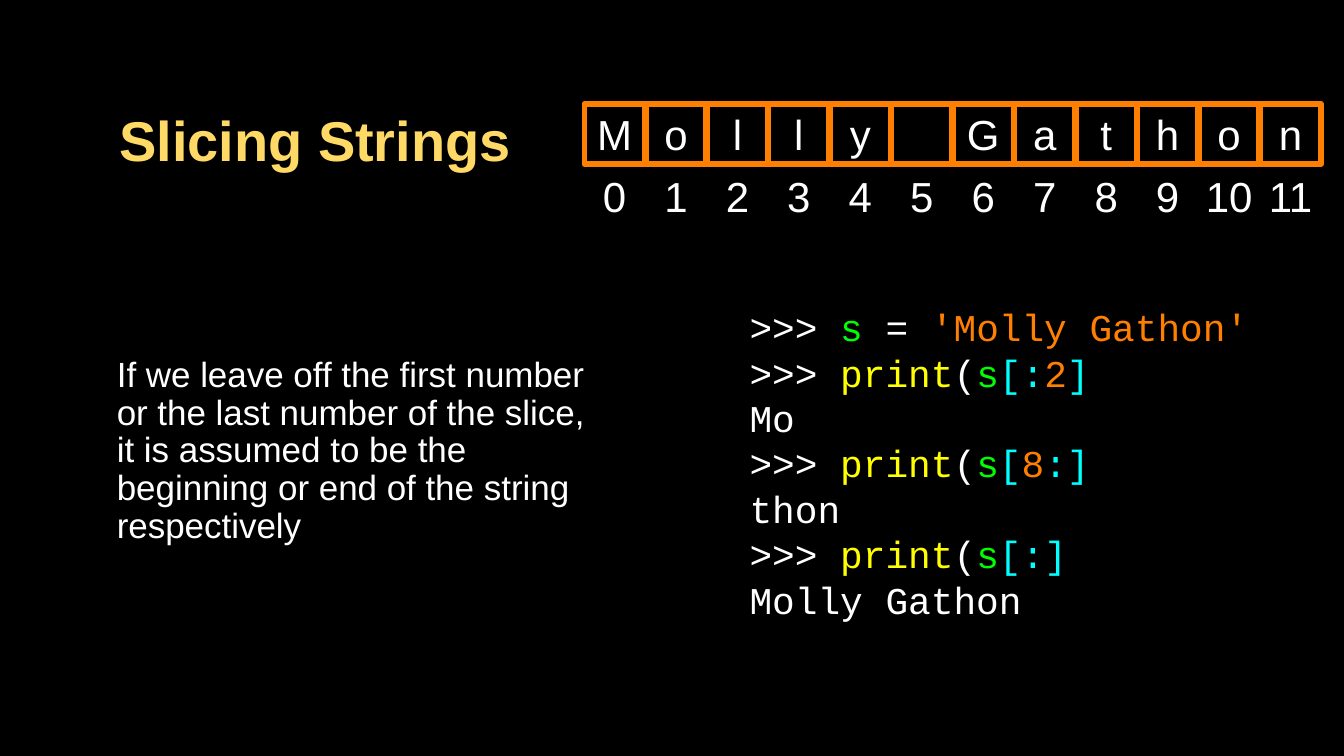
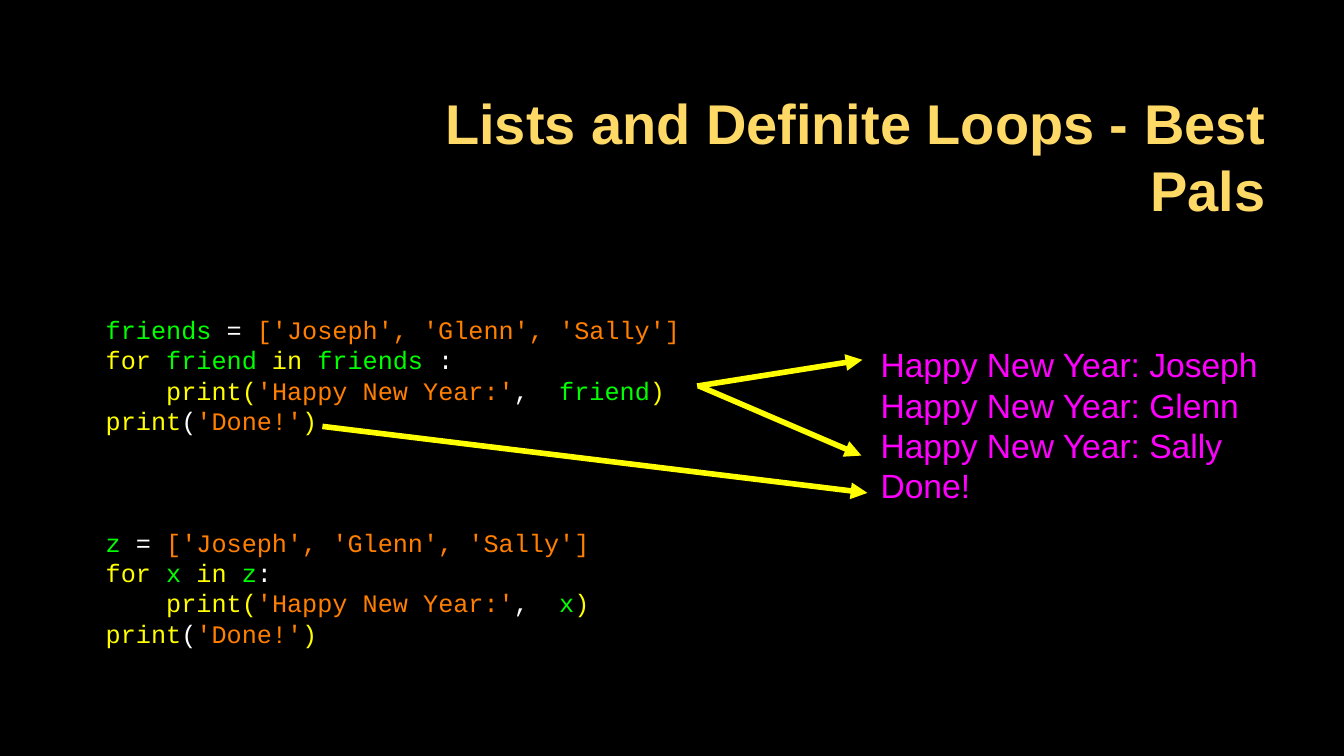
from pptx import Presentation
from pptx.dml.color import RGBColor
from pptx.enum import shapes, text
from pptx.oxml import ns, xmlchemy
from pptx.util import Inches, Pt

BLACK = RGBColor(0x00, 0x00, 0x00)
WHITE = RGBColor(0xFF, 0xFF, 0xFF)
GOLD = RGBColor(0xFF, 0xD9, 0x66)
ORANGE = RGBColor(0xFF, 0x7F, 0x00)
YELLOW = RGBColor(0xFF, 0xFF, 0x00)
GREEN = RGBColor(0x00, 0xFF, 0x00)
CYAN = RGBColor(0x00, 0xFF, 0xFF)
MAGENTA = RGBColor(0xFF, 0x00, 0xFF)

BODY_FONT = "Arial"
CODE_FONT = "Courier New"
LINE_WIDTH = Pt(4)
LEFT = text.PP_ALIGN.LEFT
CENTER = text.PP_ALIGN.CENTER
RIGHT = text.PP_ALIGN.RIGHT

CELL_SIZE = 0.6
CELL_PITCH = 0.61


def set_frame(shape, margins=(0, 0, 0, 0)):
    frame = shape.text_frame
    frame.word_wrap = True
    frame.vertical_anchor = text.MSO_ANCHOR.MIDDLE
    (frame.margin_left, frame.margin_top,
     frame.margin_right, frame.margin_bottom) = map(Inches, margins)
    return frame


def write_lines(frame, lines, size, font=BODY_FONT, color=WHITE, align=LEFT, bold=False):
    """Write one paragraph per line; a line is a string or a list of (text, colour)."""
    for index, line in enumerate(lines):
        paragraph = frame.add_paragraph() if index else frame.paragraphs[0]
        paragraph.alignment = align
        paragraph.font.name = font
        paragraph.font.size = Pt(size)
        paragraph.font.bold = bold
        if isinstance(line, str):
            paragraph.font.color.rgb = color
            paragraph.add_run().text = line
            continue
        for words, run_color in line:
            run = paragraph.add_run()
            run.text = words
            run.font.color.rgb = run_color


def add_text(slide, box, lines, size, margins=(0, 0, 0, 0), **style):
    shape = slide.shapes.add_textbox(*map(Inches, box))
    frame = set_frame(shape, margins)
    write_lines(frame, lines, size, **style)
    return frame


def add_title(slide, box, title):
    add_text(slide, box, [title], 40, (0.03,) * 4, color=GOLD, align=RIGHT, bold=True)


def add_code(slide, box, lines, size):
    add_text(slide, box, lines, size, font=CODE_FONT)


def add_indexed_string(slide, left, top, string):
    """Draw a framed cell for each character, with its index below."""
    for index, character in enumerate(string):
        x = left + index * CELL_PITCH
        add_text(slide, (x, top + CELL_PITCH, CELL_SIZE, CELL_SIZE), [str(index)], 30,
                 align=CENTER)
        cell = slide.shapes.add_shape(
            shapes.MSO_SHAPE.RECTANGLE,
            *map(Inches, (x, top, CELL_SIZE, CELL_SIZE)))
        cell.shadow.inherit = False
        cell.fill.background()
        cell.line.color.rgb = ORANGE
        cell.line.width = LINE_WIDTH
        if character != " ":
            write_lines(set_frame(cell), [character], 30, align=CENTER)


def add_arrow(slide, start, end):
    arrow = slide.shapes.add_connector(
        shapes.MSO_CONNECTOR.STRAIGHT, *map(Inches, start + end))
    arrow.line.color.rgb = YELLOW
    arrow.line.width = LINE_WIDTH
    tip = xmlchemy.OxmlElement("a:tailEnd")
    tip.set("type", "triangle")
    properties = arrow.element.find(ns.qn("p:spPr"))
    properties.find(ns.qn("a:ln")).append(tip)
    properties.append(xmlchemy.OxmlElement("a:effectLst"))


def prompt_print(*slice_parts):
    return [(">>> ", WHITE), ("print", YELLOW), ("(", WHITE), ("s", GREEN), *slice_parts]


def greeting_loop(names, name, gap=""):
    """Code lines that greet each name; gap stands before the colon."""
    return [
        [(names, GREEN), (" = ", WHITE), ("['Joseph', 'Glenn', 'Sally']", ORANGE)],
        [("for ", YELLOW), (name + " ", GREEN), ("in ", YELLOW),
         (names + gap, GREEN), (":", WHITE)],
        [("    print(", YELLOW), ("'Happy New Year:'", ORANGE), (",  ", WHITE),
         (name, GREEN), (")", YELLOW)],
        [("print", YELLOW), ("(", WHITE), ("'Done!'", ORANGE), (")", YELLOW)],
    ]


def build_slicing_slide(slide):
    add_code(slide, (7.44, 3, 5.63, 3.18), [
        [(">>> ", WHITE), ("s", GREEN), (" = ", WHITE), ("'Molly Gathon'", ORANGE)],
        prompt_print(("[:", CYAN), ("2", ORANGE), ("]", CYAN)),
        "Mo",
        prompt_print(("[", CYAN), ("8", ORANGE), (":]", CYAN)),
        "thon",
        prompt_print(("[:]", CYAN)),
        "Molly Gathon",
    ], 27)
    add_title(slide, (0.95, 0.68, 4.15, 1.4), "Slicing Strings")
    explanation = add_text(slide, (0.95, 2.14, 5.06, 4.68), [
        "If we leave off the first number or the last number of the slice, "
        "it is assumed to be the beginning or end of the string respectively",
    ], 25, (0.21, 0.03, 0.03, 0.03))
    explanation.paragraphs[0].line_spacing = 0.9
    add_indexed_string(slide, 5.8, 1.03, "Molly Gathon")


def build_loops_slide(slide):
    add_title(slide, (3.17, 0.84, 9.42, 1.41), "Lists and Definite Loops - Best Pals")
    add_code(slide, (1.05, 2.81, 5.97, 1.82), greeting_loop("friends", "friend", " "), 18)
    add_code(slide, (1.05, 4.92, 5.97, 1.82), greeting_loop("z", "x"), 18)
    greetings = [f"Happy New Year: {name}" for name in ("Joseph", "Glenn", "Sally")]
    add_text(slide, (8.74, 3.32, 4.05, 1.79), greetings + ["Done!"], 24, color=MAGENTA)
    for start, end in (
        ((6.92, 3.83), (8.56, 3.57)),
        ((6.94, 3.83), (8.55, 4.52)),
        ((3.2, 4.23), (8.61, 4.89)),
    ):
        add_arrow(slide, start, end)


def main():
    presentation = Presentation()
    presentation.slide_width = Inches(13.34)
    presentation.slide_height = Inches(7.5)
    background = presentation.slide_master.background.fill
    background.solid()
    background.fore_color.rgb = BLACK
    blank = presentation.slide_layouts[6]
    for build in (build_slicing_slide, build_loops_slide):
        build(presentation.slides.add_slide(blank))
    presentation.save("out.pptx")


if __name__ == "__main__":
    main()
